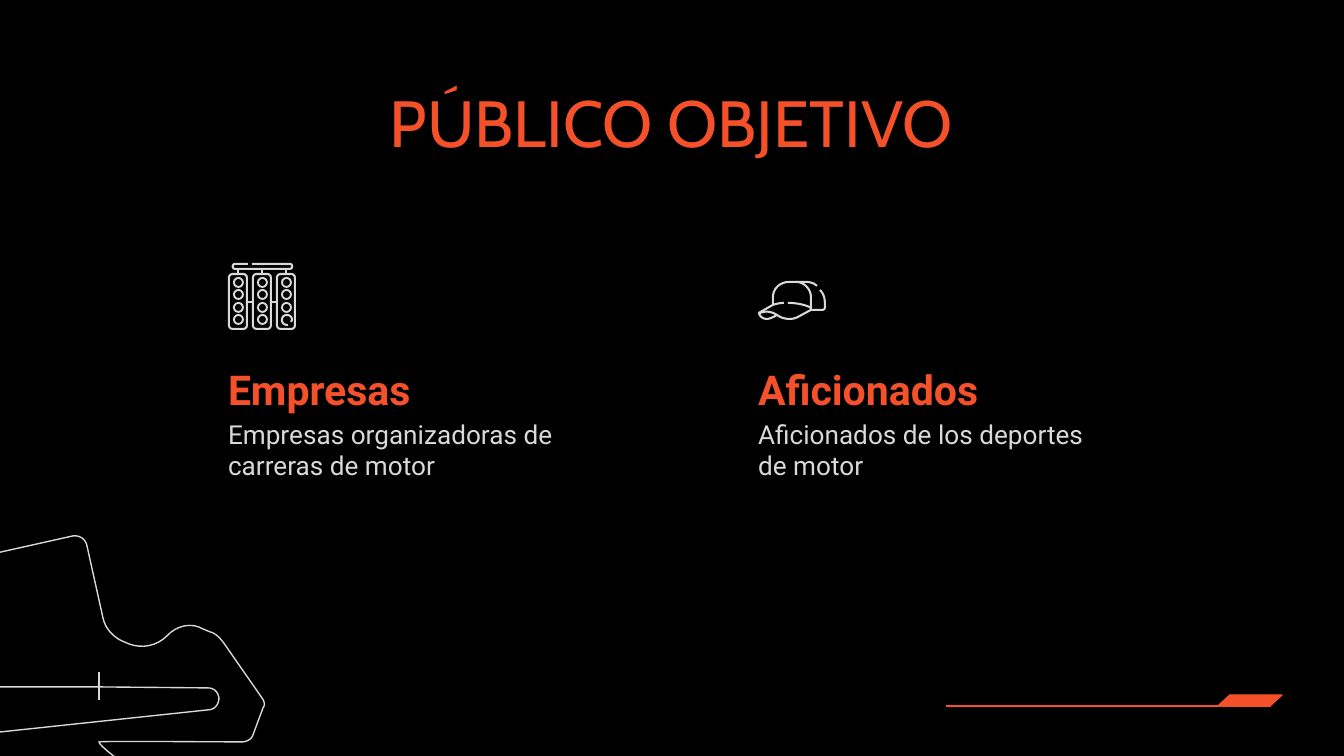
from lxml import etree
from pptx import Presentation
from pptx.dml.color import RGBColor
from pptx.enum import shapes, text
from pptx.oxml.ns import qn
from pptx.util import Emu, Pt

SCALE = 9144000 / 1344
RED, GREY = "F4512B", "D9D9D9"
THIN, BOLD = 0.75, 1.1
KIND = shapes.MSO_SHAPE

TRACK = [
    (99, 687), (-73, 687), (-77, 687, -79, 684, -82, 681), (-90, 671),
    (-93, 667, -93, 660, -89, 656), (-85, 652, -79, 651, -74, 653), (-71, 655),
    (-65, 659, -55, 656, -52, 649), (-50, 645, -50, 640, -52, 636),
    (-63, 621, -63, 602, -55, 586), (-46, 570, -31, 559, -12, 555), (73, 536),
    (79, 535, 86, 539, 87, 546), (103, 618), (105, 628, 113, 637, 122, 641),
    (129, 644), (142, 649, 157, 646, 167, 636), (176, 626, 191, 622, 203, 629),
    (210, 632), (215, 633, 219, 637, 223, 642), (262, 698),
    (265, 702, 265, 706, 263, 708), (253, 735), (252, 739, 247, 742, 242, 742),
    (211, 742, 101, 741, 99, 742), (98, 745, 125, 765, 136, 773),
    (138, 774, 140, 776, 140, 781), (136, 817), (136, 819, 134, 821, 133, 821),
    (109, 840), (106, 841, 102, 841, 101, 839), (38, 775),
    (32, 770, 24, 769, 19, 773), (-9, 790), (-13, 792, -17, 793, -20, 793),
    (-31, 790), (-51, 788, -69, 771, -74, 753), (-75, 746, -71, 739, -65, 739),
    (208, 710), (215, 710, 219, 704, 219, 698), (218, 692, 214, 688, 208, 688),
]
RAIL = [(252, 264), (290, 264), (293, 264, 293, 269, 290, 269), (235, 269),
        (232, 269, 232, 264, 235, 264), (248, 264)]
LAMP = [(288, 325), (284, 325, 282, 323, 282, 320), (282, 317, 284, 315, 287, 315),
        (290, 315, 292, 317, 292, 320), (291, 322)]
CAP = [
    [(773, 304), (773, 297), (773, 289, 780, 282, 789, 282), (796, 282),
     (804, 282, 811, 289, 811, 297), (811, 309)],
    [(796, 282), (805, 282), (810, 282, 814, 283, 817, 286)],
    [(784, 303), (780, 303, 776, 304, 773, 305), (759, 313),
     (760, 317, 763, 319, 767, 319), (770, 319, 774, 317, 777, 315)],
    [(760, 313), (768, 310, 774, 313, 777, 315), (781, 318, 786, 319, 790, 319),
     (793, 319, 796, 318, 798, 317), (811, 310), (822, 310),
     (824, 310, 825, 309, 825, 307), (825, 300, 825, 295, 820, 290)],
    [(788, 303), (797, 303, 806, 305, 811, 308)],
]


def px(*vals):
    return [Emu(round(v * SCALE)) for v in vals]


def tint(code):
    return RGBColor.from_string(code)


def trace(steps, count=8):
    pts = [steps[0]]
    for step in steps[1:]:
        if len(step) == 2:
            pts.append(step)
            continue
        ends = pts[-1] + step
        for i in range(1, count + 1):
            t = i / count
            mix = ((1 - t) ** 3, 3 * t * (1 - t) ** 2, 3 * t * t * (1 - t), t ** 3)
            pts.append(tuple(sum(m * v for m, v in zip(mix, ends[k::2])) for k in (0, 1)))
    return [tuple(px(*p)) for p in pts]


class Deck:
    """Holds the style and the current slide, and draws each kind of element."""

    frame = {"word_wrap": True, "auto_size": text.MSO_AUTO_SIZE.NONE,
             **{f"margin_{side}": px(13)[0] for side in ("left", "top", "right", "bottom")}}

    def __init__(self):
        self.prs = Presentation()
        self.prs.slide_width, self.prs.slide_height = px(1344, 756)
        self.slide = self.prs.slides.add_slide(self.prs.slide_layouts[5])
        self.items = self.slide.shapes
        fill = self.slide.background.fill
        fill.solid()
        fill.fore_color.rgb = tint("000000")

    def words(self, box, words, size, face, color, bold=False, low=False, mid=False):
        body = box.text_frame
        anchor = text.MSO_ANCHOR.BOTTOM if low else text.MSO_ANCHOR.TOP
        for key, val in {**self.frame, "vertical_anchor": anchor}.items():
            setattr(body, key, val)
        para = body.paragraphs[0]
        para.alignment = text.PP_ALIGN.CENTER if mid else text.PP_ALIGN.LEFT
        run = para.add_run()
        run.text = words
        for key, val in {"size": Pt(size), "name": face, "bold": bold}.items():
            setattr(run.font, key, val)
        run.font.color.rgb = tint(color)

    def title(self, words, area):
        box = self.items.title
        for key, val in zip(("left", "top", "width", "height"), px(*area)):
            setattr(box, key, val)
        self.words(box, words, 35, "Cabin", RED, mid=True)

    def label(self, words, area, **style):
        self.words(self.items.add_textbox(*px(*area)), words, face="Roboto", **style)

    def paint(self, item, color, width, fill=None):
        item.shadow.inherit = False
        if fill:
            item.fill.solid()
            item.fill.fore_color.rgb = tint(fill)
        else:
            item.fill.background()
        if width:
            item.line.color.rgb = tint(color)
            item.line.width = Pt(width)
        else:
            item.line.fill.background()

    def shape(self, kind, area, adj, color=GREY, width=BOLD, fill=None):
        item = self.items.add_shape(kind, *px(*area))
        item.adjustments[0] = adj
        self.paint(item, color, width, fill)

    def curve(self, steps, width=BOLD, close=False):
        pts = trace(steps)
        pen = self.items.build_freeform(*pts[0], scale=1.0)
        pen.add_line_segments(pts[1:], close=close)
        self.paint(pen.convert_to_shape(), GREY, width)

    def line(self, ends, color=GREY, width=BOLD):
        item = self.items.add_connector(shapes.MSO_CONNECTOR.STRAIGHT, *px(*ends))
        item.line.color.rgb = tint(color)
        item.line.width = Pt(width)
        etree.SubElement(item._element.spPr, qn("a:effectLst"))

    def lights(self):
        self.curve(RAIL)
        for col in range(3):
            left = 229 + 24 * col
            self.shape(KIND.ROUNDED_RECTANGLE, (left, 274, 18, 55), 0.2)
            self.line((left + 9, 270, left + 9, 273))
            if col:
                self.line((left - 5, 302, left - 1, 302))
            for row in range(3 if col == 2 else 4):
                area = (left + 4, 277 + 25 * row // 2, 11, 11)
                self.shape(KIND.DONUT, area, 0.18, width=0, fill=GREY)
        self.curve(LAMP)


def main():
    deck = Deck()
    deck.curve(TRACK, THIN, close=True)
    deck.line((99, 672, 99, 700), width=THIN)
    deck.line((946, 706, 1271, 706), RED, THIN)
    deck.shape(KIND.PARALLELOGRAM, (1218, 695, 64, 11), 1.09, RED, THIN, RED)
    deck.lights()
    for part in CAP:
        deck.curve(part)
    deck.title("PÚBLICO OBJETIVO", (103, 69, 1137, 83))
    groups = [("Empresas", "Empresas organizadoras de carreras de motor"),
              ("Aficionados", "Aficionados de los deportes de motor")]
    for left, (head, body) in zip((215, 745), groups):
        deck.label(head, (left, 344, 384, 83), size=22, color=RED, bold=True, low=True)
        deck.label(body, (left, 405, 384, 157), size=14, color=GREY)
    deck.prs.save("out.pptx")


if __name__ == "__main__":
    main()
